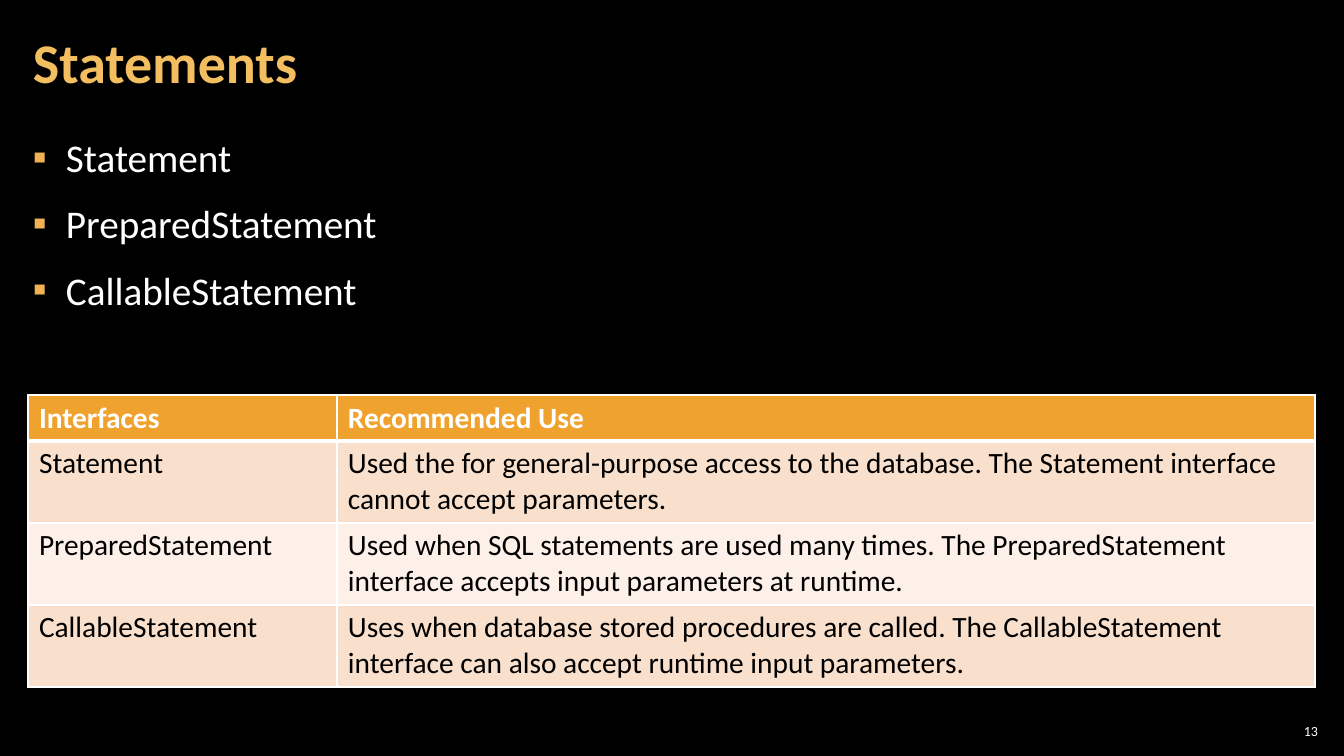
import pptx
import pptx.util
import pptx.dml.color
import pptx.enum.text
import pptx.oxml
import pptx.oxml.ns

PX = 914400 / 100.8
COLORS = {
    "background": "000000",
    "title": "F3BE60",
    "bullet": "F2B254",
    "light": "FFFFFF",
    "dark": "000000",
    "header": "F0A22E",
    "odd_row": "F9E0CD",
    "even_row": "FCF0E8",
}
ALIGN = pptx.enum.text.PP_ALIGN
ANCHOR = pptx.enum.text.MSO_ANCHOR

INTERFACES = ["Statement", "PreparedStatement", "CallableStatement"]
USES = [
    "Used the for general-purpose access to the database. "
    "The Statement interface cannot accept parameters.",
    "Used when SQL statements are used many times. "
    "The PreparedStatement interface accepts input parameters at runtime.",
    "Uses when database stored procedures are called. "
    "The CallableStatement interface can also accept runtime input parameters.",
]


def px(length):
    return pptx.util.Emu(round(length * PX))


def rgb(name):
    return pptx.dml.color.RGBColor.from_string(COLORS[name])


def apply(target, values):
    for attribute, value in values.items():
        setattr(target, attribute, value)


def place(shape, left, top, width, height):
    apply(shape, {"left": px(left), "top": px(top),
                  "width": px(width), "height": px(height)})


def set_margins(holder, across, down):
    apply(holder, {"margin_left": px(across), "margin_right": px(across),
                   "margin_top": px(down), "margin_bottom": px(down)})


def set_frame(frame, across, down, anchor):
    set_margins(frame, across, down)
    apply(frame, {"word_wrap": True, "vertical_anchor": anchor,
                  "auto_size": pptx.enum.text.MSO_AUTO_SIZE.NONE})


def write(paragraph, text, size, color, bold=False, **layout):
    paragraph.text = text
    apply(paragraph, layout)
    font = paragraph.runs[0].font
    apply(font, {"name": "Calibri", "size": pptx.util.Pt(size), "bold": bold})
    font.color.rgb = rgb(color)


def add_xml(parent, xml):
    root, rest = xml.split(" ", 1)
    namespace = pptx.oxml.ns.nsdecls("a")
    parent.append(pptx.oxml.parse_xml(f"{root} {namespace} {rest}"))


def add_bullet(paragraph, indent):
    properties = paragraph._p.get_or_add_pPr()
    apply(properties, {})
    properties.set("marL", str(px(indent)))
    properties.set("indent", str(px(-indent)))
    add_xml(properties, f'<a:buClr ><a:srgbClr val="{COLORS["bullet"]}"/></a:buClr>')
    add_xml(properties, '<a:buFont typeface="Calibri"/>')
    add_xml(properties, '<a:buChar char="▪"/>')


def add_title(slide, text):
    title = slide.shapes.title
    place(title, 21, 4, 1055, 122)
    set_frame(title.text_frame, 12, 4, ANCHOR.MIDDLE)
    write(title.text_frame.paragraphs[0], text, 40, "title", bold=True,
          alignment=ALIGN.LEFT, line_spacing=0.9)


def add_list(slide, items):
    body = slide.placeholders[1]
    place(body, 21, 127, 1301, 614)
    frame = body.text_frame
    set_frame(frame, 12, 4, ANCHOR.TOP)
    for index, item in enumerate(items):
        paragraph = frame.add_paragraph() if index else frame.paragraphs[0]
        add_bullet(paragraph, 33)
        write(paragraph, item, 28, "light", line_spacing=1.05,
              space_before=pptx.util.Pt(6 if index else 0),
              space_after=pptx.util.Pt(6))


def set_borders(cell, widths):
    """Draw the cell's edges; widths maps an edge letter to points."""
    properties = cell._tc.get_or_add_tcPr()
    for edge, width in widths.items():
        add_xml(properties,
                f'<a:ln{edge} w="{pptx.util.Pt(width)}"><a:solidFill>'
                f'<a:srgbClr val="{COLORS["light"]}"/></a:solidFill></a:ln{edge}>')


def add_uses_table(slide, rows, left, top, widths, heights):
    table = slide.shapes.add_table(
        len(rows), len(widths), px(left), px(top),
        px(sum(widths)), px(sum(heights))).table
    for column, width in zip(table.columns, widths):
        column.width = px(width)
    for row, height in zip(table.rows, heights):
        row.height = px(height)
    for number, texts in enumerate(rows):
        header = number == 0
        fill = "header" if header else "odd_row" if number % 2 else "even_row"
        edges = {"L": 1, "R": 1, "T": 3 if number == 1 else 1,
                 "B": 3 if header else 1}
        for cell, text in zip(table.rows[number].cells, texts):
            set_margins(cell, 11, 5)
            set_borders(cell, edges)
            cell.fill.solid()
            cell.fill.fore_color.rgb = rgb(fill)
            write(cell.text_frame.paragraphs[0], text, 21,
                  "light" if header else "dark", bold=header)


def add_page_number(slide, number):
    box = slide.shapes.add_textbox(px(1275), px(720), px(47), px(21))
    set_frame(box.text_frame, 4, 4, ANCHOR.MIDDLE)
    write(box.text_frame.paragraphs[0], number, 10, "light",
          alignment=ALIGN.RIGHT)


def main():
    deck = pptx.Presentation()
    apply(deck, {"slide_width": px(1344), "slide_height": px(756)})
    slide = deck.slides.add_slide(deck.slide_layouts[1])
    slide.background.fill.solid()
    slide.background.fill.fore_color.rgb = rgb("background")
    add_title(slide, "Statements")
    add_list(slide, INTERFACES)
    rows = [("Interfaces", "Recommended Use"), *zip(INTERFACES, USES)]
    add_uses_table(slide, rows, 28, 395, [309, 978], [46, 82, 82, 82])
    add_page_number(slide, "13")
    deck.save("out.pptx")


if __name__ == "__main__":
    main()
